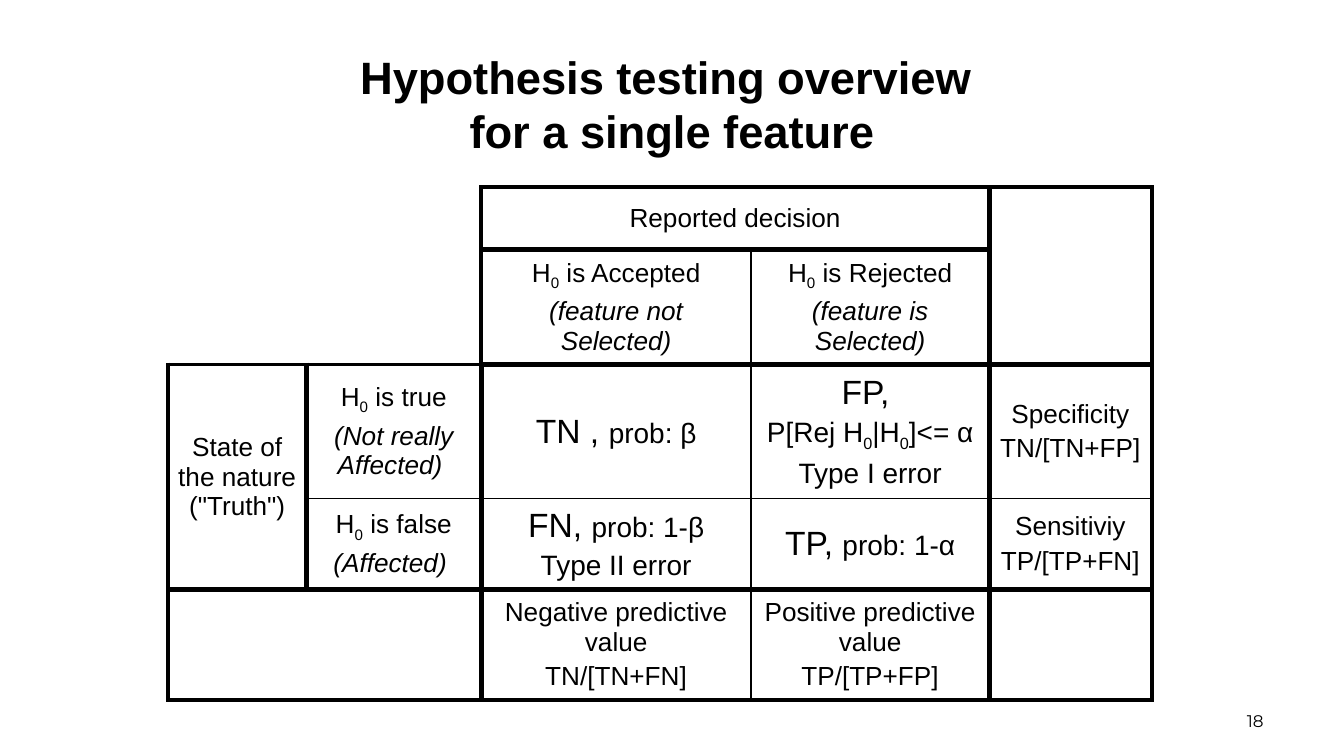
"""Build a slide with the decision table of a hypothesis test for one feature."""
from dataclasses import dataclass

from lxml import etree
from pptx import Presentation
from pptx.dml.color import RGBColor
from pptx.enum.text import MSO_ANCHOR, PP_ALIGN
from pptx.oxml.ns import qn
from pptx.util import Inches, Pt

MIDDLE = MSO_ANCHOR.MIDDLE
CENTER, RIGHT = PP_ALIGN.CENTER, PP_ALIGN.RIGHT
COLORS = {"ink": "000000"}
SMALL, MEDIUM, LARGE = 14, 15, 18
THIN, BOLD, HEAVY = 1, 2.25, 3

SLIDE_WIDTH = 10
TABLE_BOX = (1.25, 1.39, 7.32, 3.77)
COLUMN_WIDTHS = (1.03, 1.3, 2.01, 1.77, 1.21)
ROW_HEIGHTS = (0.47, 0.57, 0.98, 0.68, 0.8)
VERTICAL_LINES = (
    (0, 0, BOLD, 0, HEAVY, BOLD),
    (0, 0, BOLD, THIN, HEAVY, BOLD),
    (BOLD, HEAVY, HEAVY, THIN, HEAVY, BOLD),
    (BOLD, HEAVY, HEAVY, THIN, HEAVY, BOLD),
    (BOLD, 0, HEAVY, THIN, HEAVY, BOLD),
)
HORIZONTAL_LINES = (
    (0, 0, BOLD, BOLD, BOLD),
    (0, 0, HEAVY, HEAVY, 0),
    (BOLD, BOLD, HEAVY, HEAVY, HEAVY),
    (0, THIN, THIN, THIN, THIN),
    (HEAVY,) * 5,
    (BOLD,) * 5,
)
MERGES = (((0, 2), (0, 3)), ((0, 4), (1, 4)), ((2, 0), (3, 0)), ((4, 0), (4, 1)))


@dataclass(frozen=True)
class Piece:
    """A stretch of text with its own size or baseline."""
    text: str
    size: float | None = None
    subscript: bool = False


@dataclass(frozen=True)
class Line:
    """A paragraph made of pieces."""
    pieces: tuple[Piece, ...]
    size: float = SMALL
    italic: bool = False


def plain(text: str, size: float = SMALL, italic: bool = False) -> Line:
    """Return a line with a single piece."""
    return Line((Piece(text),), size, italic)


def hypothesis(ending: str) -> Line:
    """Return a line that starts with the null hypothesis."""
    return Line((Piece("H"), Piece("0", subscript=True), Piece(ending)))


def outcome(name: str, probability: str) -> Line:
    """Return a line with a large outcome name and its probability."""
    return Line((Piece(name, LARGE), Piece(probability)), MEDIUM)


ERROR_RATE = Line((Piece("P[Rej H"), Piece("0", subscript=True), Piece("|H"),
                   Piece("0", subscript=True), Piece("]<= α")), MEDIUM)
CELL_LINES = {
    (0, 2): (plain("Reported decision"),),
    (1, 2): (hypothesis(" is Accepted"), plain("(feature not Selected)", italic=True)),
    (1, 3): (hypothesis(" is Rejected"), plain("(feature is Selected)", italic=True)),
    (2, 0): (plain('State of the nature ("Truth")'),),
    (2, 1): (hypothesis(" is true"), plain("(Not really Affected) ", italic=True)),
    (2, 2): (outcome("TN , ", "prob: β"),),
    (2, 3): (plain("FP, ", LARGE), ERROR_RATE, plain("Type I error", MEDIUM)),
    (2, 4): (plain("Specificity"), plain("TN/[TN+FP]")),
    (3, 1): (hypothesis(" is false"), plain("(Affected) ", italic=True)),
    (3, 2): (outcome("FN, ", "prob: 1-β"), plain("Type II error", MEDIUM)),
    (3, 3): (outcome("TP, ", "prob: 1-α"),),
    (3, 4): (plain("Sensitiviy"), plain("TP/[TP+FN]")),
    (4, 2): (plain("Negative predictive value"), plain("TN/[TN+FN]")),
    (4, 3): (plain("Positive predictive value"), plain("TP/[TP+FP]")),
}


def style_font(font, size: float, name: str = "Arial", bold: bool = False,
               italic: bool = False) -> None:
    """Set the look of a font."""
    font.name, font.size, font.bold, font.italic = name, Pt(size), bold, italic
    font.color.rgb = RGBColor.from_string(COLORS["ink"])


def add_label(slide, text: str, box: tuple[float, ...], size: float, name: str,
              alignment, bold: bool = False) -> None:
    """Add a text box with one paragraph."""
    frame = slide.shapes.add_textbox(*map(Inches, box)).text_frame
    frame.word_wrap, frame.vertical_anchor = True, MIDDLE
    paragraph = frame.paragraphs[0]
    paragraph.text, paragraph.alignment = text, alignment
    style_font(paragraph.font, size, name, bold)


def write_lines(frame, lines: tuple[Line, ...]) -> None:
    """Fill a table cell with paragraphs."""
    for index, line in enumerate(lines):
        paragraph = frame.add_paragraph() if index else frame.paragraphs[0]
        paragraph.alignment = CENTER
        if index:
            paragraph.space_before = Pt(0.2 * line.size)
        style_font(paragraph.font, line.size, italic=line.italic)
        for piece in line.pieces:
            run = paragraph.add_run()
            run.text = piece.text
            if piece.size:
                run.font.size = Pt(piece.size)
            if piece.subscript:
                run._r.get_or_add_rPr().set("baseline", "-25000")


def set_border(cell, side: str, width: float) -> None:
    """Draw one side of a cell, or clear it when the width is zero."""
    properties = cell._tc.get_or_add_tcPr()
    border = etree.SubElement(properties, qn(f"a:ln{side}"), w=str(Pt(width)))
    if width:
        fill = etree.SubElement(border, qn("a:solidFill"))
        etree.SubElement(fill, qn("a:srgbClr"), val=COLORS["ink"])
        etree.SubElement(border, qn("a:prstDash"), val="solid")
    else:
        etree.SubElement(border, qn("a:noFill"))


def format_cell(cell, row: int, column: int) -> None:
    """Set the borders, fill, margins and text of a cell."""
    set_border(cell, "L", VERTICAL_LINES[row][column])
    set_border(cell, "R", VERTICAL_LINES[row][column + cell.span_width])
    set_border(cell, "T", HORIZONTAL_LINES[row][column])
    set_border(cell, "B", HORIZONTAL_LINES[row + cell.span_height][column])
    cell.fill.background()
    cell.vertical_anchor = MIDDLE
    cell.margin_left = cell.margin_right = Inches(0.07)
    cell.margin_top = cell.margin_bottom = Inches(0.04)
    write_lines(cell.text_frame, CELL_LINES.get((row, column), ()))


def add_decision_table(slide) -> None:
    """Add the table of decisions against the state of nature."""
    shape = slide.shapes.add_table(
        len(ROW_HEIGHTS), len(COLUMN_WIDTHS), *map(Inches, TABLE_BOX))
    table = shape.table
    table.first_row = table.horz_banding = False
    for column, width in zip(table.columns, COLUMN_WIDTHS):
        column.width = Inches(width)
    for row, height in zip(table.rows, ROW_HEIGHTS):
        row.height = Inches(height)
    shape.height = Inches(TABLE_BOX[3])
    for first, last in MERGES:
        table.cell(*first).merge(table.cell(*last))
    for row in range(len(ROW_HEIGHTS)):
        for column in range(len(COLUMN_WIDTHS)):
            format_cell(table.cell(row, column), row, column)


def main() -> None:
    """Build and save the presentation."""
    presentation = Presentation()
    presentation.slide_width = Inches(SLIDE_WIDTH)
    presentation.slide_height = Inches(SLIDE_WIDTH * 9 / 16)
    slide = presentation.slides.add_slide(presentation.slide_layouts[6])
    add_label(slide, "18", (7.17, 5.21, 2.33, 0.3), 9, "Montserrat", RIGHT)
    add_label(slide, "Hypothesis testing overview \vfor a single feature",
              (0.5, 0.38, 9, 0.78), 24.3, "Arial", CENTER, bold=True)
    add_decision_table(slide)
    presentation.save("out.pptx")


if __name__ == "__main__":
    main()
